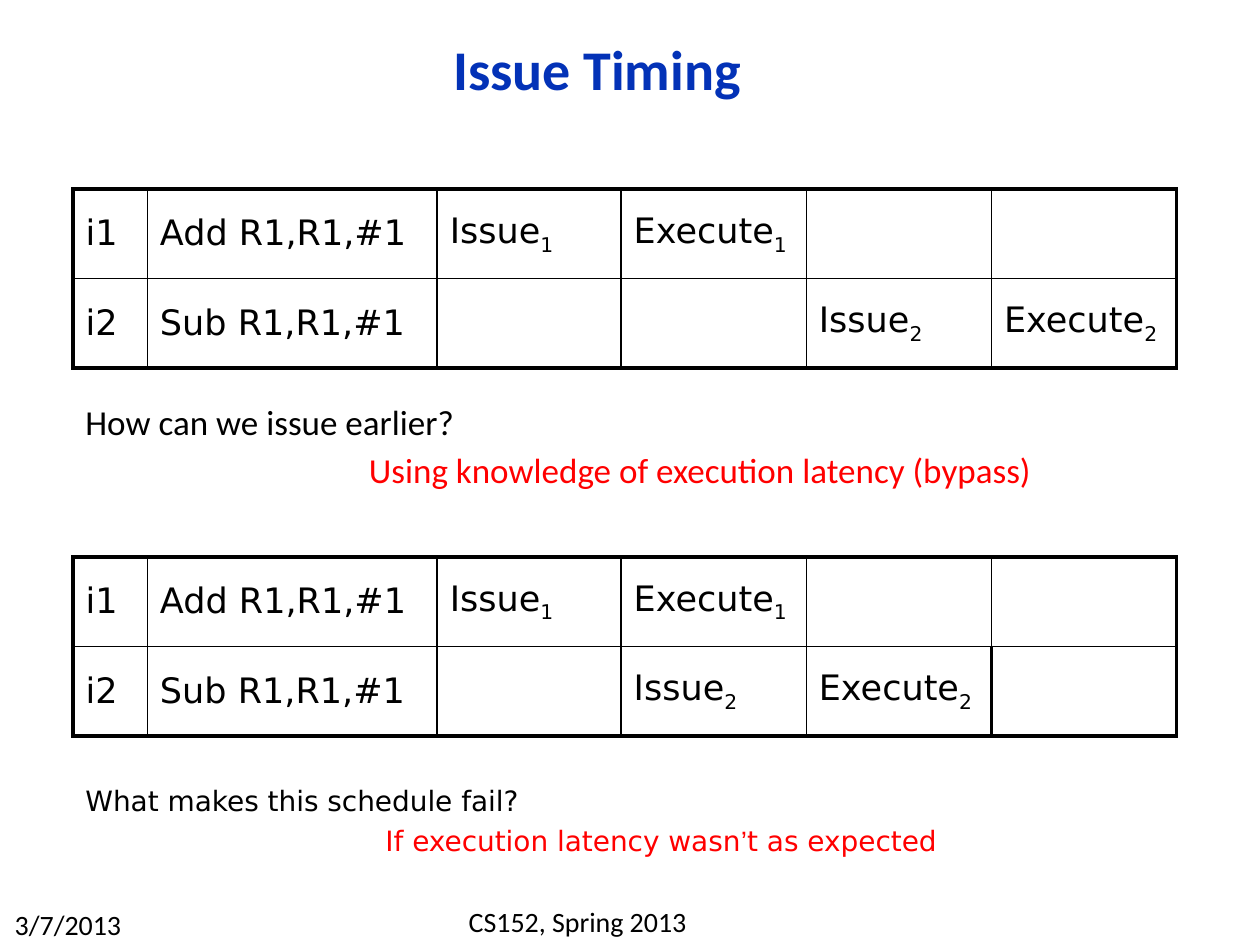
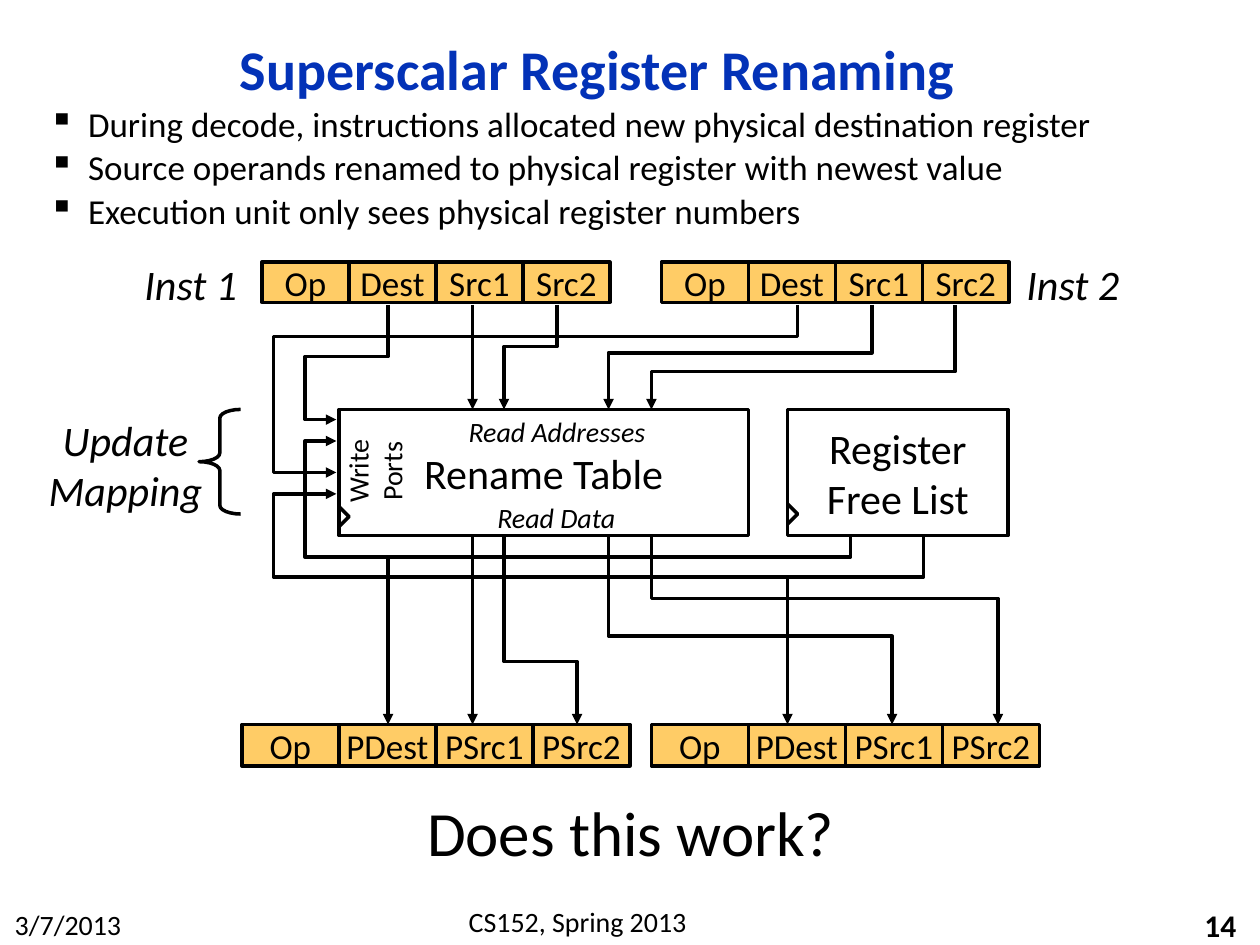
from dataclasses import dataclass

from lxml.etree import SubElement
from pptx import Presentation
from pptx.dml.color import RGBColor
from pptx.enum.shapes import MSO_CONNECTOR, MSO_SHAPE
from pptx.enum.text import MSO_ANCHOR, PP_ALIGN
from pptx.oxml.ns import qn
from pptx.util import Inches, Pt

COLORS = {"title": "0332B7", "ink": "000000", "answer": "FF0000",
          "field": "FFCC66", "paper": "FFFFFF"}
BODY_FONT, CODE_FONT, QUOTE_FONT = "Calibri", "DejaVu Sans", "Arial"
WIRE_WIDTH = 2
THIN, THICK = 1, 2.25
LEFT, CENTER, RIGHT = PP_ALIGN.LEFT, PP_ALIGN.CENTER, PP_ALIGN.RIGHT


@dataclass(frozen=True)
class Run:
    text: str
    font: str = ""
    baseline: int = 0


@dataclass(frozen=True)
class Line:
    runs: tuple[Run, ...]
    color: str = "ink"
    indent: float = 0
    bullet: str = ""


@dataclass(frozen=True)
class Wire:
    points: tuple[tuple[float, float], ...]
    arrow: bool = True


@dataclass(frozen=True)
class Instruction:
    left: float
    top: float
    width: float
    height: float
    fields: tuple[str, ...]


@dataclass(frozen=True)
class Label:
    text: str
    box: tuple[float, float, float, float]
    size: float
    italic: bool = True
    wrap: bool = False
    rotation: float = 0


def rgb(name: str) -> RGBColor:
    return RGBColor.from_string(COLORS[name])


def inches(values) -> list:
    return [Inches(value) for value in values]


# Text
def write(frame, *lines, size=20, font=BODY_FONT, color="ink", bold=False,
          italic=False, align=LEFT, anchor=MSO_ANCHOR.TOP, wrap=True,
          spacing=None, gap=0) -> None:
    """Fill a text frame; each line is a string or a Line."""
    frame.word_wrap = wrap
    frame.vertical_anchor = anchor
    for index, item in enumerate(lines):
        line = Line((Run(item),), color) if isinstance(item, str) else item
        paragraph = frame.add_paragraph() if index else frame.paragraphs[0]
        paragraph.alignment = align
        if spacing:
            paragraph.line_spacing = spacing
        if index and gap:
            paragraph.space_before = Pt(gap)
        if line.indent:
            properties = paragraph._p.get_or_add_pPr()
            properties.set("marL", str(Inches(line.indent)))
            if line.bullet:
                properties.set("indent", str(-Inches(line.indent)))
                SubElement(properties, qn("a:buChar"), char=line.bullet)
        for part in line.runs:
            run = paragraph.add_run()
            run.text = part.text
            run.font.size = Pt(size)
            run.font.name = part.font or font
            run.font.bold, run.font.italic = bold, italic
            run.font.color.rgb = rgb(line.color)
            if part.baseline:
                run._r.get_or_add_rPr().set("baseline", str(part.baseline))


def add_text(slide, box, *lines, rotation: float = 0, **style) -> None:
    textbox = slide.shapes.add_textbox(*inches(box))
    textbox.rotation = rotation
    write(textbox.text_frame, *lines, **style)


# Shared slide frame: title, date, course
def add_slide(deck, title: str):
    slide = deck.slides.add_slide(deck.slide_layouts[6])
    slide.background.fill.solid()
    slide.background.fill.fore_color.rgb = rgb("paper")
    add_text(slide, (0.01, 7.15, 1.06, 0.37), "3/7/2013",
             size=16, align=CENTER, wrap=False)
    add_text(slide, (2.92, 7.13, 3.33, 0.37), "CS152, Spring 2013",
             size=16, align=CENTER)
    add_text(slide, (0.75, 0.17, 7.98, 0.81), title, size=32, color="title",
             bold=True, align=CENTER, anchor=MSO_ANCHOR.MIDDLE, spacing=0.9)
    return slide


# Shapes
def outline(shape, fill: str = "") -> None:
    shape.shadow.inherit = False
    shape.line.color.rgb = rgb("ink")
    shape.line.width = Pt(WIRE_WIDTH)
    if fill:
        shape.fill.solid()
        shape.fill.fore_color.rgb = rgb(fill)
    else:
        shape.fill.background()


def add_block(slide, box, text: str, size: float, fill: str = "",
              wrap: bool = True) -> None:
    block = slide.shapes.add_shape(MSO_SHAPE.RECTANGLE, *inches(box))
    outline(block, fill)
    write(block.text_frame, text, size=size, align=CENTER,
          anchor=MSO_ANCHOR.MIDDLE, wrap=wrap)


def add_instruction(slide, word: Instruction) -> None:
    for index, field in enumerate(word.fields):
        box = (word.left + index * word.width, word.top, word.width, word.height)
        add_block(slide, box, field, 20, "field", wrap=False)


def add_wire(slide, wire: Wire) -> None:
    points = [tuple(inches(point)) for point in wire.points]
    if len(points) == 2:
        route = slide.shapes.add_connector(MSO_CONNECTOR.STRAIGHT,
                                           *points[0], *points[1])
        route.line.color.rgb = rgb("ink")
        route.line.width = Pt(WIRE_WIDTH)
        SubElement(route._element.spPr, qn("a:effectLst"))
    else:
        builder = slide.shapes.build_freeform(*points[0])
        builder.add_line_segments(points[1:], close=False)
        route = builder.convert_to_shape()
        outline(route)
    if wire.arrow:
        SubElement(route._element.spPr.find(qn("a:ln")), qn("a:tailEnd"),
                   type="triangle")


# Timing tables
def set_borders(cell, widths: dict[str, float]) -> None:
    properties = cell._tc.get_or_add_tcPr()
    for index, (side, width) in enumerate(widths.items()):
        border = properties.makeelement(qn(f"a:{side}"), {"w": str(Pt(width))})
        fill = SubElement(border, qn("a:solidFill"))
        SubElement(fill, qn("a:srgbClr"), val=COLORS["ink"])
        properties.insert(index, border)


def add_timing_table(slide, top: float, rows, heavy_left=()) -> None:
    """Draw a schedule; "Issue_1" gives Issue with a subscript 1."""
    widths = (0.59, 2.3, 1.46, 1.47, 1.47, 1.47)
    last_row, last_column = len(rows) - 1, len(widths) - 1
    table = slide.shapes.add_table(len(rows), len(widths), *inches(
        (0.58, top, 8.75, 1.42))).table
    table.first_row = table.horz_banding = False
    for column, width in zip(table.columns, widths):
        column.width = Inches(width)
    for r, row in enumerate(rows):
        table.rows[r].height = Inches(0.71)
        for c, text in enumerate(row):
            cell = table.cell(r, c)
            cell.fill.background()
            cell.vertical_anchor = MSO_ANCHOR.MIDDLE
            set_borders(cell, {
                "lnL": THICK if c == 0 or (r, c) in heavy_left else THIN,
                "lnR": THICK if c == last_column or (r, c + 1) in heavy_left else THIN,
                "lnT": THICK if r == 0 else THIN,
                "lnB": THICK if r == last_row else THIN})
            if text:
                stage, _, number = text.partition("_")
                runs = (Run(stage),) + ((Run(number, baseline=-25000),) if number else ())
                write(cell.text_frame, Line(runs), font=CODE_FONT,
                      anchor=MSO_ANCHOR.MIDDLE)


def build_issue_timing(deck) -> None:
    slide = add_slide(deck, "Issue Timing")
    add_first = ("i1", "Add R1,R1,#1", "Issue_1", "Execute_1", "", "")
    subtract = ("i2", "Sub R1,R1,#1")
    add_timing_table(slide, 1.5, (add_first, subtract + ("", "", "Issue_2", "Execute_2")))
    add_timing_table(slide, 4.42, (add_first, subtract + ("", "Issue_2", "Execute_2", "")),
                     heavy_left={(1, 5)})

    # Questions and answers
    add_text(slide, (0.58, 3.17, 8.83, 1), "How can we issue earlier?",
             Line((Run("Using knowledge of execution latency (bypass)"),),
                  "answer", indent=2.25), spacing=0.9, gap=5.5)
    add_text(slide, (0.58, 6.17, 8.75, 0.83), "What makes this schedule fail?",
             Line((Run("If execution latency wasn"), Run("’", QUOTE_FONT),
                   Run("t as expected")), "answer", indent=2.38),
             size=16, font=CODE_FONT, gap=3.5)


# Wire routes
def step(x: float, top: float, turn: float, end_x: float, bottom: float) -> Wire:
    return Wire(((x, top), (x, turn), (end_x, turn), (end_x, bottom)))


def clock_mark(x: float, y: float) -> Wire:
    return Wire(((x, y - 0.08), (x + 0.08, y), (x, y + 0.08)), arrow=False)


def build_renaming(deck) -> None:
    slide = add_slide(deck, "Superscalar Register Renaming")
    points = ("During decode, instructions allocated new physical destination register",
              "Source operands renamed to physical register with newest value",
              "Execution unit only sees physical register numbers")
    add_text(slide, (0.29, 0.83, 9.42, 0.83),
             *(Line((Run(point),), indent=0.31, bullet="▪") for point in points),
             spacing=0.8, gap=5.5)
    add_text(slide, (7.83, 7.18, 2.08, 0.32), "14", size=18, bold=True,
             align=RIGHT, anchor=MSO_ANCHOR.MIDDLE)

    # Rename hardware
    table_top, table_bottom = 3.25, 4.25
    add_block(slide, (2.69, table_top, 3.25, 1), "Rename Table", 24)
    add_block(slide, (6.25, table_top, 1.75, 1), "Register Free List", 24)

    # Instructions before and after renaming
    decoded_top, decoded_bottom, renamed_top = 2.08, 2.42, 5.75
    decoded = ("Op", "Dest", "Src1", "Src2")
    renamed = ("Op", "PDest", "PSrc1", "PSrc2")
    for left in (2.08, 5.25):
        add_instruction(slide, Instruction(left, decoded_top, 0.69, 0.32, decoded))
    for left in (1.92, 5.17):
        add_instruction(slide, Instruction(left, renamed_top, 0.77, 0.33, renamed))

    # Source registers into the table, physical sources out of it
    read_ports = (3.75, 4, 4.83, 5.17)
    add_wire(slide, Wire(((3.75, decoded_bottom), (3.75, table_top))))
    add_wire(slide, Wire(((3.75, table_bottom), (3.75, renamed_top))))
    sources = zip(read_ports[1:], (4.42, 6.92, 7.58), (2.75, 2.8, 2.95),
                  (5.25, 5.05, 4.75), (4.58, 7.08, 7.92))
    for port, source, turn_in, turn_out, target in sources:
        add_wire(slide, step(source, decoded_bottom, turn_in, port, table_top))
        add_wire(slide, step(port, table_bottom, turn_out, target, renamed_top))

    # Free registers to the new destinations and the write ports
    port_x = 2.67
    for free_x, turn, target, lane, write_y in (
            (6.75, 4.42, 3.08, 2.42, 3.5), (7.33, 4.58, 6.25, 2.17, 3.92)):
        add_wire(slide, step(free_x, table_bottom, turn, target, renamed_top))
        add_wire(slide, Wire(((target, turn), (lane, turn),
                              (lane, write_y), (port_x, write_y))))

    # Old destinations to the write ports
    for dest, turn, lane, write_y in ((3.08, 2.83, 2.42, 3.33), (6.33, 2.67, 2.17, 3.75)):
        add_wire(slide, Wire(((dest, decoded_bottom), (dest, turn), (lane, turn),
                              (lane, write_y), (port_x, write_y))))

    add_wire(slide, clock_mark(2.69, 4.1))
    add_wire(slide, clock_mark(6.25, 4.08))

    # Update mapping brace
    brace = slide.shapes.add_shape(MSO_SHAPE.LEFT_BRACE, *inches((1.58, 3.25, 0.33, 0.83)))
    brace.adjustments[0], brace.adjustments[1] = 0.21, 0.5
    outline(brace)
    add_text(slide, (0.24, 3.24, 1.51, 0.91), "Update", "Mapping",
             size=24, italic=True, align=CENTER, wrap=False)

    labels = (
        Label("Inst 1", (1, 2, 1.03, 0.5), 24),
        Label("Inst 2", (8, 2, 1.03, 0.5), 24),
        Label("Read Addresses", (3.58, 3.24, 1.68, 0.37), 16),
        Label("Read Data", (3.58, 3.92, 1.67, 0.37), 16, wrap=True),
        Label("Write Ports", (2.56, 3.42, 0.83, 0.64), 16, False, True, 270),
        Label("Does this work?", (0.42, 6.25, 9.17, 0.71), 36, False, True),
    )
    for label in labels:
        add_text(slide, label.box, label.text, size=label.size, italic=label.italic,
                 wrap=label.wrap, rotation=label.rotation, align=CENTER)


def main() -> None:
    deck = Presentation()
    deck.slide_width, deck.slide_height = Inches(10), Inches(7.5)
    build_issue_timing(deck)
    build_renaming(deck)
    deck.save("out.pptx")


if __name__ == "__main__":
    main()
